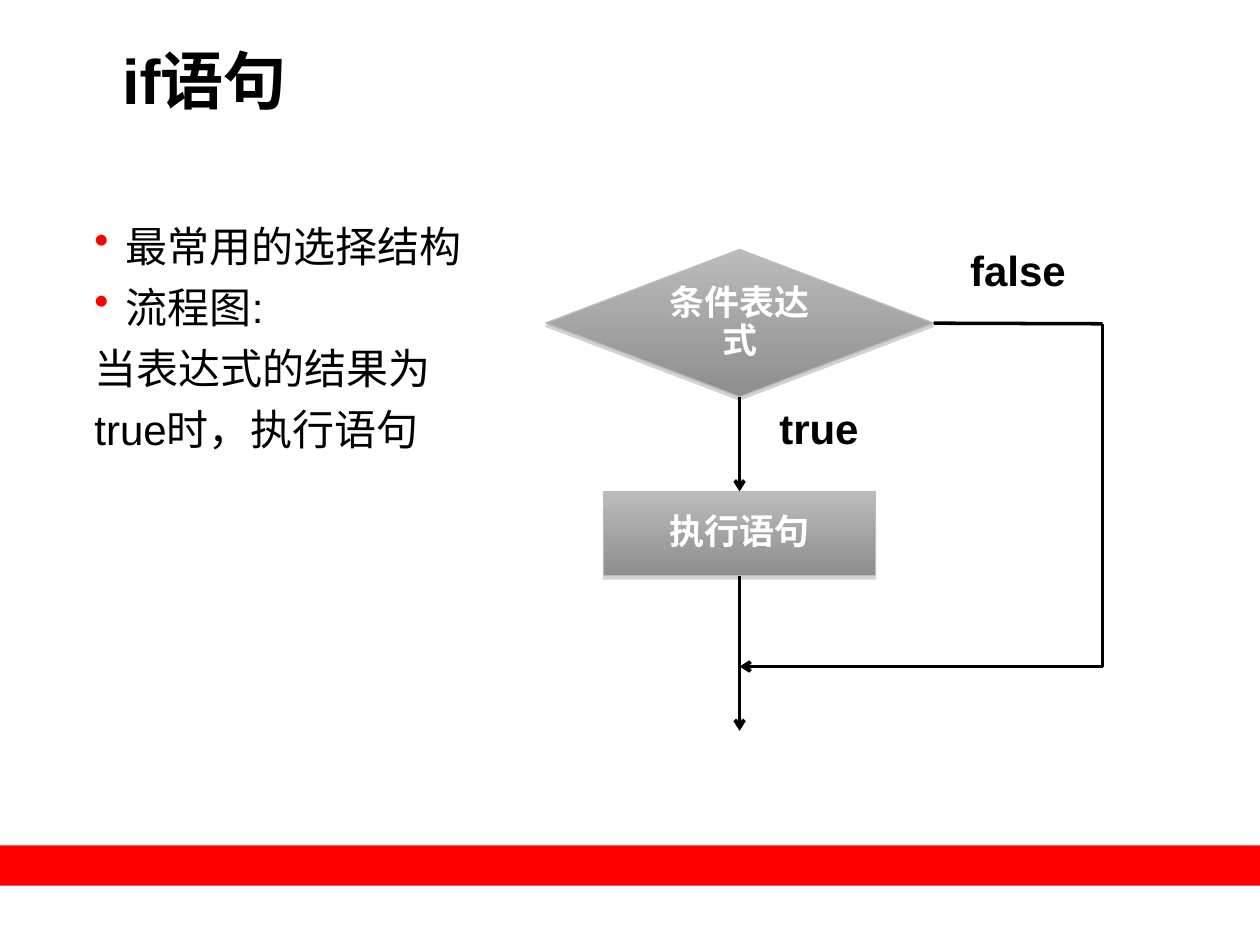
from dataclasses import dataclass
from typing import Optional

from lxml.etree import SubElement
from pptx import Presentation
from pptx.dml.color import RGBColor
from pptx.enum.shapes import MSO_CONNECTOR, MSO_SHAPE
from pptx.enum.text import MSO_ANCHOR, PP_ALIGN
from pptx.oxml.ns import qn
from pptx.util import Inches, Pt

FONT = "Arial"
BLACK, WHITE, RED = "000000", "FFFFFF", "FF0000"
TOP, BOTTOM, RIGHT = 0, 2, 3


@dataclass
class Box:
    left: float
    top: float
    width: float
    height: float

    def lengths(self):
        return [Inches(v) for v in (self.left, self.top, self.width, self.height)]


@dataclass
class Step:
    text: str
    preset: MSO_SHAPE
    box: Box


@dataclass
class BodyLine:
    text: str
    bulleted: bool = False


def color(value: str) -> RGBColor:
    return RGBColor.from_string(value)


def add_run(paragraph, text: str, size: float, ink: str = BLACK, bold: bool = False):
    run = paragraph.add_run()
    run.text = text
    run.font.name = FONT
    run.font.size = Pt(size)
    run.font.bold = bold
    run.font.color.rgb = color(ink)


def add_text_frame(box: Box, side: float = 0, edge: float = 0):
    frame = slide.shapes.add_textbox(*box.lengths()).text_frame
    frame.word_wrap = True
    frame.margin_left = frame.margin_right = Inches(side)
    frame.margin_top = frame.margin_bottom = Inches(edge)
    return frame


def add_centred_text(frame, text: str, size: float, ink: str):
    paragraph = frame.paragraphs[0]
    paragraph.alignment = PP_ALIGN.CENTER
    paragraph.line_spacing = 0.9
    add_run(paragraph, text, size, ink, bold=True)


def set_bullet(paragraph, bulleted: bool):
    properties = paragraph._p.get_or_add_pPr()
    properties.set("marL", str(Inches(0.25)))
    properties.set("indent", str(-Inches(0.25)))
    if bulleted:
        bullet_color = SubElement(properties, qn("a:buClr"))
        SubElement(bullet_color, qn("a:srgbClr"), val="FD0000")
        SubElement(properties, qn("a:buChar"), char="•")
    else:
        SubElement(properties, qn("a:buNone"))


def add_drop_shadow(shape):
    shape.shadow.inherit = False
    effects = shape._element.spPr.find(qn("a:effectLst"))
    shadow = SubElement(effects, qn("a:outerShdw"), blurRad="0",
                        dist=str(Pt(1.8)), dir="5400000", rotWithShape="0")
    shade = SubElement(shadow, qn("a:srgbClr"), val="808080")
    SubElement(shade, qn("a:alpha"), val="35000")


def add_step(step: Step):
    shape = slide.shapes.add_shape(step.preset, *step.box.lengths())
    shape.fill.gradient()
    shape.fill.gradient_angle = 270
    for stop, shade in zip(shape.fill.gradient_stops, ("BBBBBB", "8E8E8E")):
        stop.color.rgb = color(shade)
    shape.line.color.rgb = color("BCBCBC")
    shape.line.width = Pt(0.75)
    add_drop_shadow(shape)
    shape.text_frame.word_wrap = True
    shape.text_frame.vertical_anchor = MSO_ANCHOR.MIDDLE
    add_centred_text(shape.text_frame, step.text, 20, WHITE)
    return shape


def add_flow(start: tuple, end: tuple, arrow: bool = False,
             source: Optional[tuple] = None, target: Optional[tuple] = None):
    points = [Inches(v) for v in (*start, *end)]
    flow = slide.shapes.add_connector(MSO_CONNECTOR.STRAIGHT, *points)
    if source:
        flow.begin_connect(*source)
    if target:
        flow.end_connect(*target)
    flow.line.color.rgb = color(BLACK)
    flow.line.width = Pt(2)
    if arrow:
        SubElement(flow.line._get_or_add_ln(), qn("a:tailEnd"), type="arrow")
    SubElement(flow._element.spPr, qn("a:effectLst"))


presentation = Presentation()
presentation.slide_width, presentation.slide_height = Inches(10), Inches(7.5)
slide = presentation.slides.add_slide(presentation.slide_layouts[6])

# Red footer band
band = slide.shapes.add_shape(MSO_SHAPE.RECTANGLE, *Box(0, 6.71, 10, 0.32).lengths())
band.shadow.inherit = False
band.fill.solid()
band.fill.fore_color.rgb = color(RED)
band.line.fill.background()

# Title
title = add_text_frame(Box(0.97, 0.33, 8.29, 1.03))
add_run(title.paragraphs[0], "if语句", 36, bold=True)

# Explanation
BODY_LINES = [
    BodyLine("最常用的选择结构", bulleted=True),
    BodyLine("流程图:", bulleted=True),
    BodyLine("当表达式的结果为"),
    BodyLine("true时，执行语句"),
]
body = add_text_frame(Box(0.75, 1.75, 8.24, 4.75))
for index, line in enumerate(BODY_LINES):
    paragraph = body.add_paragraph() if index else body.paragraphs[0]
    set_bullet(paragraph, line.bulleted)
    if index:
        paragraph.space_before = Pt(6)
    add_run(paragraph, line.text, 24)

# Flowchart steps
AXIS_X, BYPASS_X = 5.87, 8.75
CONDITION_Y, MERGE_Y, EXIT_Y = 2.57, 5.29, 5.8
condition = add_step(Step("条件表达式", MSO_SHAPE.FLOWCHART_DECISION,
                          Box(AXIS_X - 1.54, 1.98, 3.08, 1.17)))
statement = add_step(Step("执行语句", MSO_SHAPE.RECTANGLE,
                          Box(AXIS_X - 1.08, 3.9, 2.16, 0.67)))

# True branch, and the way out
add_flow((AXIS_X, 3.15), (AXIS_X, 3.9), arrow=True,
         source=(condition, BOTTOM), target=(statement, TOP))
add_flow((AXIS_X, 4.57), (AXIS_X, EXIT_Y), arrow=True, source=(statement, BOTTOM))

# False branch around the statement
add_flow((7.41, CONDITION_Y), (BYPASS_X, CONDITION_Y), source=(condition, RIGHT))
add_flow((BYPASS_X, CONDITION_Y), (BYPASS_X, MERGE_Y))
add_flow((BYPASS_X, MERGE_Y), (AXIS_X, MERGE_Y), arrow=True)

# Branch labels
for label, label_box in (("true", Box(6, 3.19, 1, 1)), ("false", Box(7.58, 1.94, 1, 0.5))):
    add_centred_text(add_text_frame(label_box, 0.1, 0.05), label, 24, BLACK)

presentation.save("out.pptx")
